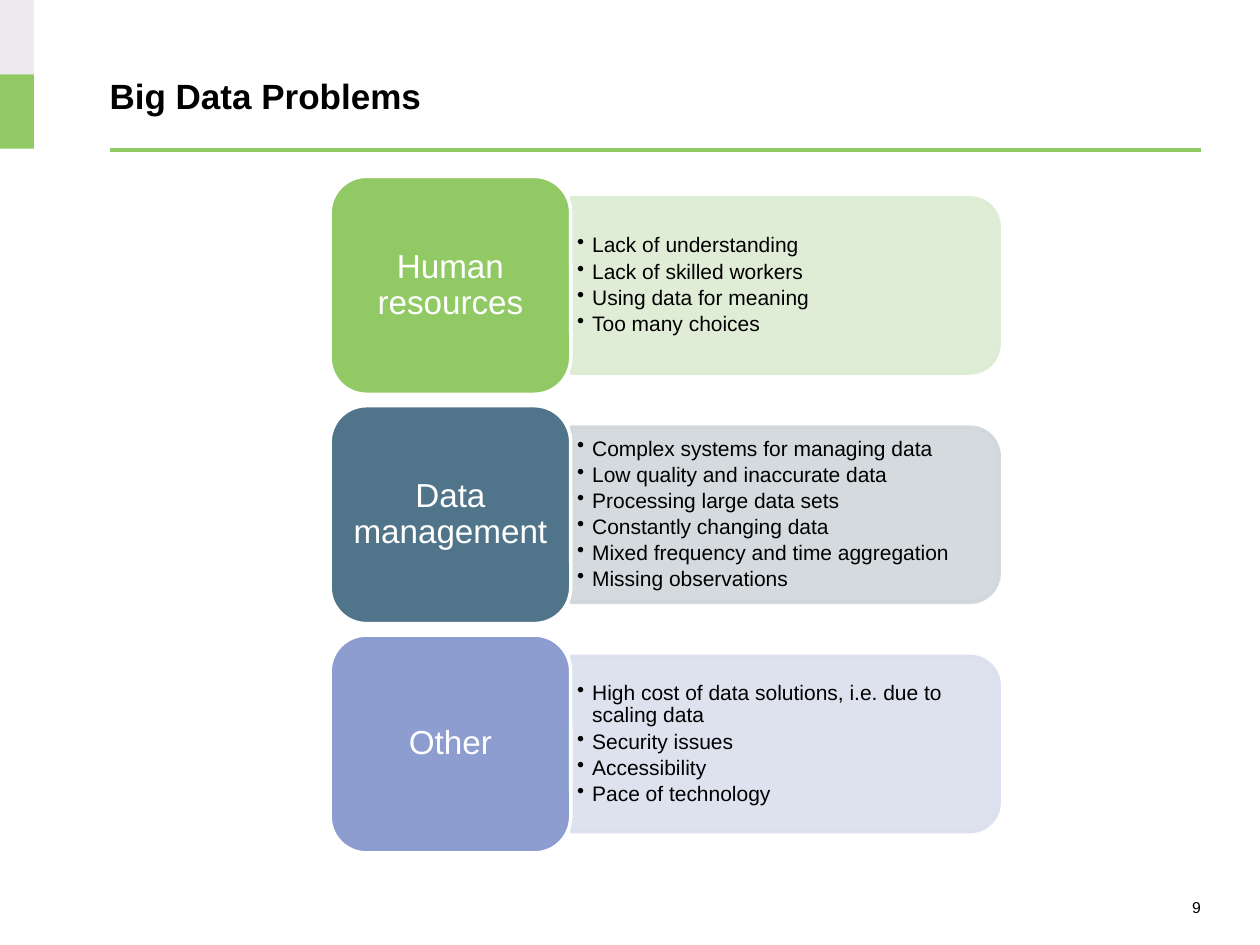
from lxml import etree
from pptx import Presentation
from pptx.dml.color import RGBColor
from pptx.enum.shapes import MSO_CONNECTOR, MSO_SHAPE
from pptx.enum.text import MSO_ANCHOR, PP_ALIGN
from pptx.oxml.ns import qn
from pptx.util import Inches, Pt

RECTANGLE = MSO_SHAPE.RECTANGLE
ROUNDED = MSO_SHAPE.ROUNDED_RECTANGLE
TOP_ROUNDED = MSO_SHAPE.ROUND_2_SAME_RECTANGLE
STRAIGHT = MSO_CONNECTOR.STRAIGHT
MIDDLE = MSO_ANCHOR.MIDDLE
LEFT, CENTER, RIGHT = PP_ALIGN.LEFT, PP_ALIGN.CENTER, PP_ALIGN.RIGHT

BLACK = RGBColor(0x00, 0x00, 0x00)
WHITE = RGBColor(0xFF, 0xFF, 0xFF)
GRAY = RGBColor(0xEE, 0xEB, 0xEE)
GREEN = RGBColor(0x91, 0xCA, 0x64)
BLUE = RGBColor(0x50, 0x74, 0x8A)
LAVENDER = RGBColor(0x8D, 0x9D, 0xD0)
PALE_GREEN = RGBColor(0xDC, 0xEC, 0xD3)
PALE_BLUE = RGBColor(0xD0, 0xD6, 0xDA)
PALE_LAVENDER = RGBColor(0xDB, 0xDF, 0xEE)

ROW_TOP, ROW_PITCH, ROW_HEIGHT = 1.4, 1.82, 1.73
LABEL_LEFT, LABEL_WIDTH = 2.62, 1.91
PANEL_LEFT, PANEL_LENGTH, PANEL_HEIGHT = 4.53, 3.4, 1.39
BULLETS_WIDTH, BULLETS_HEIGHT = 3.33, 1.25

CATEGORIES = [
    ("Human resources", GREEN, PALE_GREEN, [
        "Lack of understanding",
        "Lack of skilled workers",
        "Using data for meaning",
        "Too many choices",
    ]),
    ("Data management", BLUE, PALE_BLUE, [
        "Complex systems for managing data",
        "Low quality and inaccurate data",
        "Processing large data sets",
        "Constantly changing data",
        "Mixed frequency and time aggregation",
        "Missing observations",
    ]),
    ("Other", LAVENDER, PALE_LAVENDER, [
        "High cost of data solutions, i.e. due to scaling data",
        "Security issues",
        "Accessibility",
        "Pace of technology",
    ]),
]

presentation = Presentation()
presentation.slide_width = Inches(10)
presentation.slide_height = Inches(7.5)
slide = presentation.slides.add_slide(presentation.slide_layouts[6])


def add_box(kind, left, top, width, height, fill, outline=None):
    shape = slide.shapes.add_shape(
        kind, Inches(left), Inches(top), Inches(width), Inches(height))
    shape.shadow.inherit = False
    shape.fill.solid()
    shape.fill.fore_color.rgb = fill
    if outline is None:
        shape.line.fill.background()
    else:
        shape.line.color.rgb = outline
        shape.line.width = Pt(2)
    return shape


def write(shape, lines, size, color, align=LEFT, insets=(0, 0), bold=False,
          spacing=1.0, bulleted=False):
    """Fill a shape with one paragraph per line; insets are (side, top and bottom)."""
    frame = shape.text_frame
    frame.word_wrap = True
    frame.vertical_anchor = MIDDLE
    frame.margin_left = frame.margin_right = Inches(insets[0])
    frame.margin_top = frame.margin_bottom = Inches(insets[1])
    for index, line in enumerate(lines):
        paragraph = frame.add_paragraph() if index else frame.paragraphs[0]
        paragraph.alignment = align
        paragraph.line_spacing = spacing
        if bulleted:
            paragraph.space_after = Pt(2)
            properties = paragraph._p.get_or_add_pPr()
            properties.set("marL", str(Inches(0.12)))
            properties.set("indent", str(Inches(-0.12)))
            etree.SubElement(properties, qn("a:buChar"), char="•")
        run = paragraph.add_run()
        run.text = line
        run.font.name = "Arial"
        run.font.size = Pt(size)
        run.font.bold = bold
        run.font.color.rgb = color


# Page frame
add_box(RECTANGLE, 0, 0, 0.27, 0.59, GRAY)
add_box(RECTANGLE, 0, 0.59, 0.27, 0.59, GREEN)
title_rule = slide.shapes.add_connector(
    STRAIGHT, Inches(0.87), Inches(1.19), Inches(9.53), Inches(1.19))
title_rule.line.color.rgb = GREEN
title_rule.line.width = Pt(2.25)
etree.SubElement(title_rule._element.spPr, qn("a:effectLst"))
title = slide.shapes.add_textbox(
    Inches(0.87), Inches(0.59), Inches(8.66), Inches(0.34))
write(title, ["Big Data Problems"], 20, BLACK, bold=True)

# One label and one bulleted panel per category
for row, (name, color, pale_color, problems) in enumerate(CATEGORIES):
    top = ROW_TOP + row * ROW_PITCH
    middle = top + ROW_HEIGHT / 2

    # The panel is upright before its quarter turn, so its sides are swapped
    panel = add_box(
        TOP_ROUNDED, PANEL_LEFT + (PANEL_LENGTH - PANEL_HEIGHT) / 2,
        middle - PANEL_LENGTH / 2, PANEL_HEIGHT, PANEL_LENGTH,
        pale_color, pale_color)
    panel.rotation = 90
    for color_element in panel._element.spPr.iter(qn("a:srgbClr")):
        etree.SubElement(color_element, qn("a:alpha"), val="90000")

    bullets = slide.shapes.add_textbox(
        Inches(PANEL_LEFT), Inches(middle - BULLETS_HEIGHT / 2),
        Inches(BULLETS_WIDTH), Inches(BULLETS_HEIGHT))
    write(bullets, problems, 12, BLACK, insets=(0.05, 0.03), spacing=0.9,
          bulleted=True)

    label = add_box(
        ROUNDED, LABEL_LEFT, top, LABEL_WIDTH, ROW_HEIGHT, color, WHITE)
    write(label, [name], 19, WHITE, CENTER, insets=(0.08, 0.04), spacing=0.9)

page_number = slide.shapes.add_textbox(
    Inches(8.15), Inches(7.1), Inches(1.38), Inches(0.2))
write(page_number, ["9"], 9, BLACK, RIGHT)

presentation.save("out.pptx")
